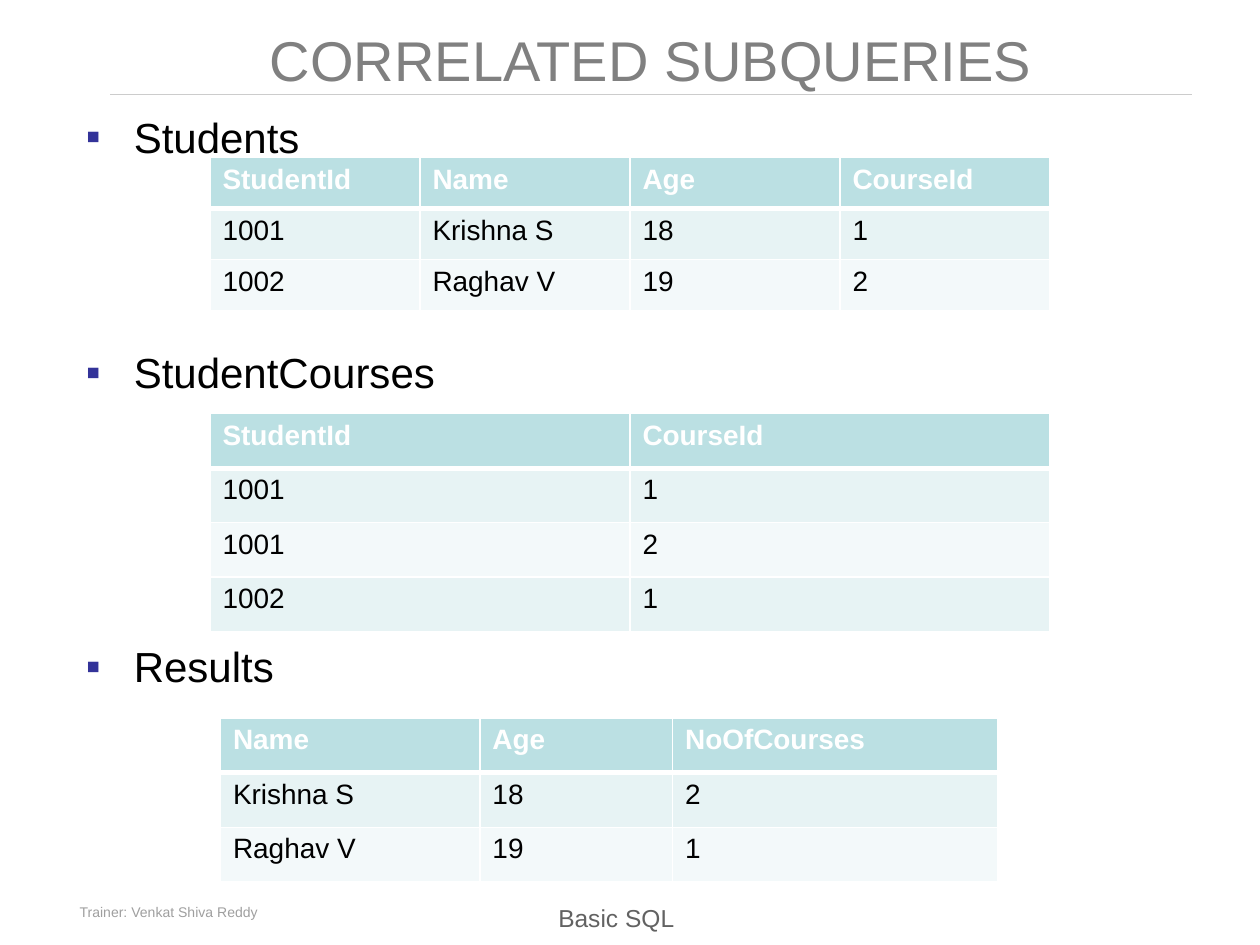
from lxml.etree import SubElement
from pptx import Presentation
from pptx.dml.color import RGBColor
from pptx.enum.shapes import MSO_CONNECTOR
from pptx.enum.text import MSO_ANCHOR, PP_ALIGN
from pptx.oxml import parse_xml
from pptx.oxml.ns import nsdecls, qn
from pptx.util import Inches, Pt

LEFT, CENTER, JUSTIFY = PP_ALIGN.LEFT, PP_ALIGN.CENTER, PP_ALIGN.JUSTIFY
TOP, MIDDLE = MSO_ANCHOR.TOP, MSO_ANCHOR.MIDDLE
STRAIGHT = MSO_CONNECTOR.STRAIGHT

TITLE = "CORRELATED SUBQUERIES"
COURSE = "Basic SQL"
TRAINER = "Trainer: Venkat Shiva Reddy"
SECTIONS = [("Students", 0), ("StudentCourses", 105.6), ("Results", 139.3)]
TABLES = [
    {"at": (20, 15, 80, 14.6), "shares": (1, 1, 1, 1), "rows": [
        ("StudentId", "Name", "Age", "CourseId"),
        ("1001", "Krishna S", "18", "1"),
        ("1002", "Raghav V", "19", "2")]},
    {"at": (20, 39.4, 80, 20.75), "shares": (1, 1), "rows": [
        ("StudentId", "CourseId"),
        ("1001", "1"),
        ("1001", "2"),
        ("1002", "1")]},
    {"at": (21, 68.4, 74, 15.6), "shares": (2.06, 1.53, 2.58), "rows": [
        ("Name", "Age", "NoOfCourses"),
        ("Krishna S", "18", "2"),
        ("Raghav V", "19", "1")]},
]
THEME = {
    "font": "Arial",
    "title": {"size": 32, "color": "808080"},
    "section": {"size": 24, "color": "000000"},
    "course": {"size": 14, "color": "626262"},
    "trainer": {"size": 8, "color": "9F9F9F"},
    "header": {"size": 16, "color": "FFFFFF", "bold": True},
    "cell": {"size": 16, "color": "000000", "bold": False},
    "header_fill": "BBE0E3",
    "bands": ("E7F3F4", "F3F9FA"),
    "border": "FFFFFF",
    "rule": "CCCCCC",
    "bullet": "333399",
}
COLUMNS, ROWS = 120, 90

deck = Presentation()
deck.slide_width, deck.slide_height = Inches(10), Inches(7.5)
slide = deck.slides.add_slide(deck.slide_layouts[6])


def place(x, y, *size):
    spans = (deck.slide_width / COLUMNS, deck.slide_height / ROWS) * 2
    return [round(cells * span) for cells, span in zip((x, y, *size), spans)]


def write(paragraph, text, style):
    run = paragraph.add_run()
    run.text = text
    formats = {"name": THEME["font"], "size": Pt(style["size"]), "bold": style.get("bold")}
    for attribute, value in formats.items():
        setattr(run.font, attribute, value)
    run.font.color.rgb = RGBColor.from_string(style["color"])


def add_text(at, lines, style, align=LEFT, anchor=TOP, spacing=None):
    frame = slide.shapes.add_textbox(*place(*at)).text_frame
    frame.word_wrap, frame.vertical_anchor = True, anchor
    for index, (text, before) in enumerate(lines):
        paragraph = frame.add_paragraph() if index else frame.paragraphs[0]
        formats = {"alignment": align, "line_spacing": spacing, "space_before": Pt(before)}
        for attribute, value in formats.items():
            setattr(paragraph, attribute, value)
        write(paragraph, text, style)
    return frame


def add_bullet(paragraph):
    properties = paragraph._p.get_or_add_pPr()
    indent = Inches(0.38)
    properties.set("marL", str(indent))
    properties.set("indent", str(-indent))
    color = SubElement(properties, qn("a:buClr"))
    SubElement(color, qn("a:srgbClr"), val=THEME["bullet"])
    SubElement(properties, qn("a:buFont"), typeface=THEME["font"])
    SubElement(properties, qn("a:buChar"), char="▪")


def add_borders(cell, top, bottom):
    properties = cell._tc.get_or_add_tcPr()
    for index, (side, width) in enumerate((("L", 1), ("R", 1), ("T", top), ("B", bottom))):
        properties.insert(index, parse_xml(
            f'<a:ln{side} {nsdecls("a")} w="{Pt(width)}"><a:solidFill>'
            f'<a:srgbClr val="{THEME["border"]}"/></a:solidFill></a:ln{side}>'))


def add_records(at, shares, rows):
    x, y, width, height = place(*at)
    table = slide.shapes.add_table(len(rows), len(shares), x, y, width, height).table
    for column, share in zip(table.columns, shares):
        column.width = round(width * share / sum(shares))
    for r, values in enumerate(rows):
        table.rows[r].height = round(height / len(rows))
        style = THEME["cell" if r else "header"]
        fill = THEME["bands"][(r - 1) % 2] if r else THEME["header_fill"]
        for c, value in enumerate(values):
            cell = table.cell(r, c)
            cell.fill.solid()
            cell.fill.fore_color.rgb = RGBColor.from_string(fill)
            write(cell.text_frame.paragraphs[0], value, style)
            add_borders(cell, 3 if r == 1 else 1, 1 if r else 3)


add_text((42.4, 85, 32.6, 4.2), [(COURSE, 0)], THEME["course"], CENTER, spacing=1.15)
add_text((6.4, 85.2, 29.5, 3), [(TRAINER, 0)], THEME["trainer"], spacing=1.15)

rule = slide.shapes.add_connector(STRAIGHT, *place(10.5, 9, 113.5, 9))
rule.line.color.rgb = RGBColor.from_string(THEME["rule"])
rule.line.width = Pt(1)
SubElement(rule._element.spPr, qn("a:effectLst"))

add_text((7, 2, 110, 7.3), [(TITLE, 0)], THEME["title"], CENTER, MIDDLE)
sections = add_text((7, 10, 110, 75), SECTIONS, THEME["section"], JUSTIFY)
for section in sections.paragraphs:
    add_bullet(section)

for records in TABLES:
    add_records(**records)

deck.save("out.pptx")
